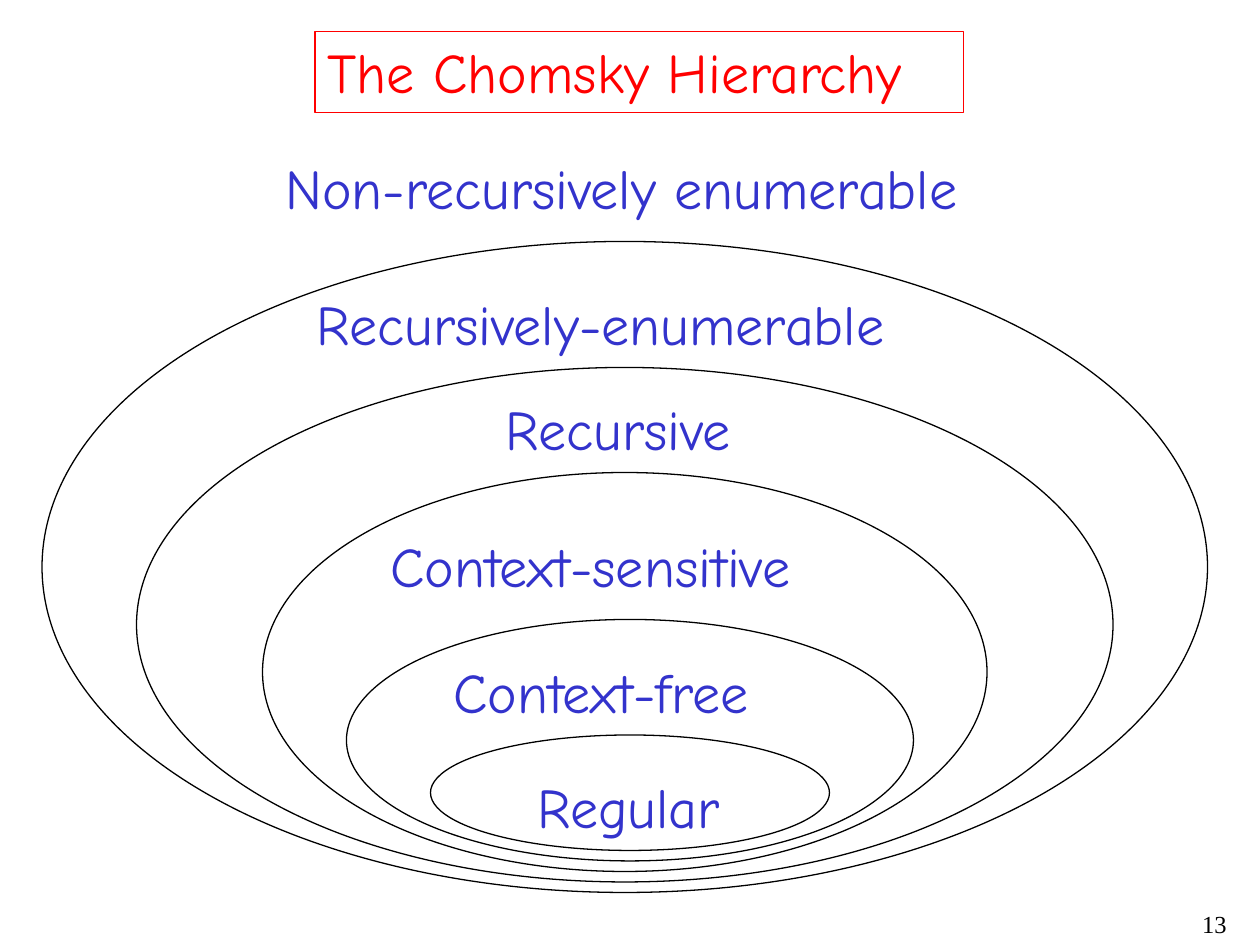
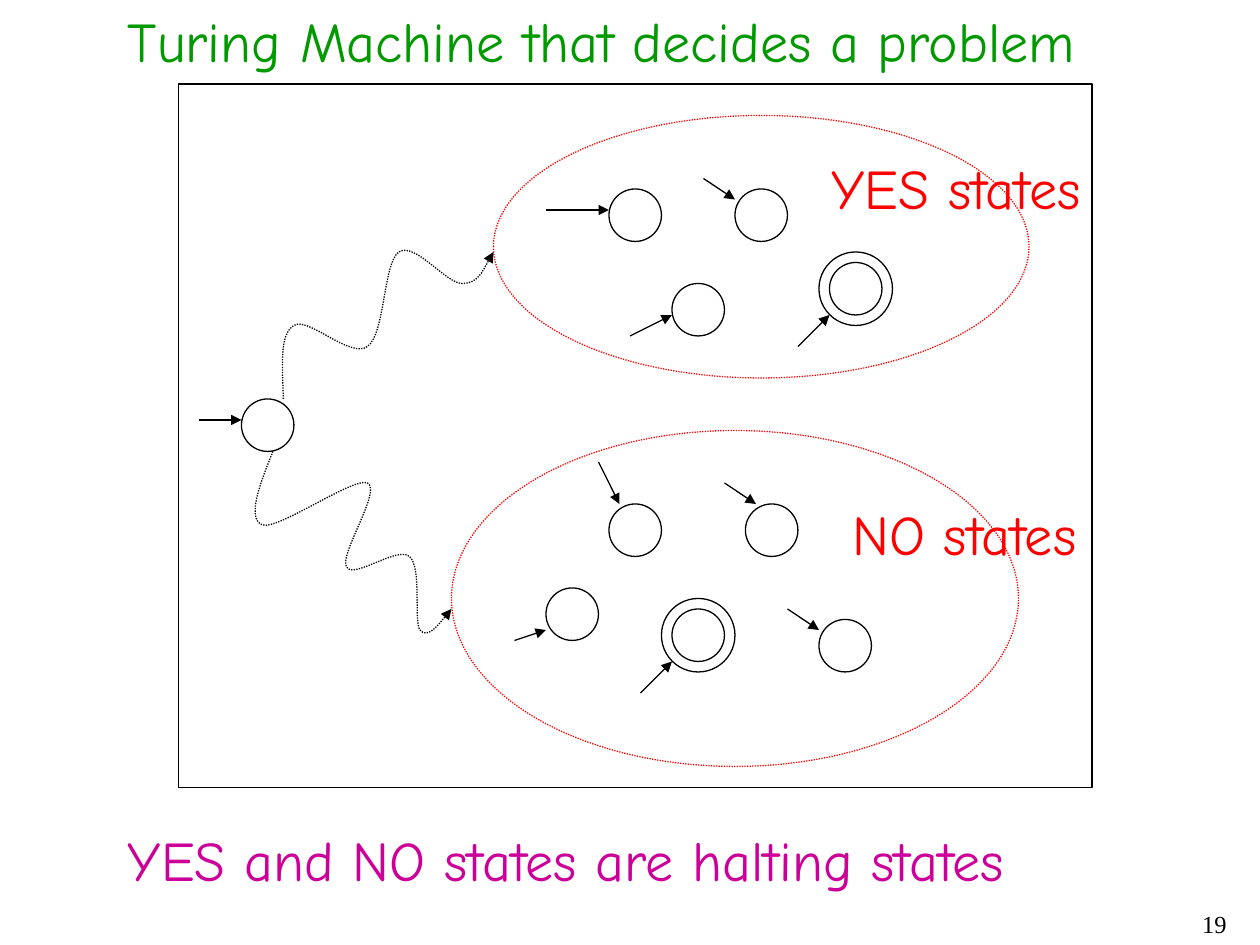
"""Build two slides on the Chomsky hierarchy and on deciding Turing machines."""
import lxml.etree
import pptx
import pptx.dml.color
import pptx.enum.dml
import pptx.enum.shapes
import pptx.enum.text
import pptx.oxml.ns
import pptx.util

COLUMNS, ROWS = 120, 90
CELL = pptx.util.Inches(10) // COLUMNS
BLACK = pptx.dml.color.RGBColor(0x00, 0x00, 0x00)
RED = pptx.dml.color.RGBColor(0xFF, 0x00, 0x00)
BLUE = pptx.dml.color.RGBColor(0x33, 0x33, 0xCC)
GREEN = pptx.dml.color.RGBColor(0x00, 0x99, 0x00)
MAGENTA = pptx.dml.color.RGBColor(0xCC, 0x00, 0x99)
OVAL = pptx.enum.shapes.MSO_SHAPE.OVAL
RECTANGLE = pptx.enum.shapes.MSO_SHAPE.RECTANGLE
DOTTED = pptx.enum.dml.MSO_LINE.ROUND_DOT
LABEL_FONT = {"name": "Comic Neue", "size": pptx.util.Pt(32)}
NUMBER_FONT = {"name": "Times New Roman", "size": pptx.util.Pt(14)}
LABEL_FRAME = {
    "word_wrap": False,
    "auto_size": pptx.enum.text.MSO_AUTO_SIZE.SHAPE_TO_FIT_TEXT,
    "vertical_anchor": pptx.enum.text.MSO_ANCHOR.TOP,
}
NUMBER_FRAME = {"word_wrap": True}
LEFT = pptx.enum.text.PP_ALIGN.LEFT
RIGHT = pptx.enum.text.PP_ALIGN.RIGHT
LABEL_ROWS = 7.6
STATE_SIZE = 5

LANGUAGE_LABELS = [
    ("Non-recursively enumerable", 26, 14, 71.9),
    ("Recursively-enumerable", 29, 27, 61.2),
    ("Recursive", 47, 37, 26.4),
    ("Context-sensitive", 36, 50, 46.6),
    ("Context-free", 42, 62, 35.6),
    ("Regular", 50, 73, 21),
]
LANGUAGE_RINGS = [(4, 23, 111), (13, 35, 93), (25, 45, 69), (33, 59, 54), (41, 70, 38)]
OUTER_RING_BOTTOM = 85

START_STATE = (23, 38, (19, 40), (23, 40))
YES_STATES = [
    (58, 18, (52, 20), (58, 20)),
    (70, 18, (67, 17), (70, 19)),
    (64, 27, (60, 32), (64, 30)),
    (79, 25, (76, 33), (79, 30)),
]
NO_STATES = [
    (58, 48, (57, 44), (59, 48)),
    (71, 48, (69, 46), (72, 48)),
    (52, 56, (49, 61), (52, 60)),
    (78, 59, (75, 58), (78, 60)),
    (64, 58, (61, 66), (64, 63)),
]
WAVE_TO_YES = [
    (27, 38), (26.9, 34.9), (26.6, 31.8), (28, 31),
    (29.3, 30.1), (33.4, 34.2), (35, 33), (36.7, 31.8), (36.5, 25), (38, 24),
    (39.5, 23), (42.5, 27), (44, 27), (45.5, 27), (46.2, 25.4), (47, 24),
]
WAVE_TO_NO = [
    (26, 43), (24.7, 46.2), (23.5, 49.4), (25, 50),
    (26.5, 50.5), (33.7, 45.4), (35, 46), (36.4, 46.7), (32.3, 52.8), (33, 54),
    (33.7, 55.2), (37.8, 52), (39, 53), (40.2, 54), (39.4, 59.2), (40, 60),
    (40.7, 60.8), (41.9, 59.4), (43, 58),
]


def grid(*cells):
    """Turn counts of grid cells into slide lengths."""
    return [round(cell * CELL) for cell in cells]


def apply_format(target, values):
    """Set every attribute named in a dict of format values."""
    for name, value in values.items():
        setattr(target, name, value)


def write(box, text, color, font=LABEL_FONT, frame=LABEL_FRAME, alignment=LEFT):
    """Put one formatted line of text in a box."""
    apply_format(box.text_frame, frame)
    para = box.text_frame.paragraphs[0]
    para.alignment = alignment
    span = para.add_run()
    span.text = text
    apply_format(span.font, font)
    span.font.color.rgb = color


def add_label(page, text, column, row, width, color):
    """Add a large label without a border."""
    box = page.shapes.add_textbox(*grid(column, row, width, LABEL_ROWS))
    write(box, text, color)


def add_page(deck, number):
    """Add a blank page with its number in the lower right corner."""
    page = deck.slides.add_slide(deck.slide_layouts[6])
    box = page.shapes.add_textbox(*grid(93, 86, 25, 4))
    write(box, str(number), BLACK, NUMBER_FONT, NUMBER_FRAME, RIGHT)
    return page


def draw_line(line, color=BLACK, dash=None):
    """Give a line its colour, width and dash."""
    line.color.rgb = color
    apply_format(line, {"width": pptx.util.Pt(0.75), "dash_style": dash})


def style_outline(shape, color=BLACK, dash=None):
    """Leave a shape as a bare outline."""
    shape.shadow.inherit = False
    shape.fill.background()
    draw_line(shape.line, color, dash)


def add_outline(page, kind, cells, color=BLACK, dash=None):
    """Add an unfilled preset shape."""
    shape = page.shapes.add_shape(kind, *grid(*cells))
    style_outline(shape, color, dash)
    return shape


def add_arrowhead(properties):
    """End a line with a triangle."""
    line = properties.find(pptx.oxml.ns.qn("a:ln"))
    lxml.etree.SubElement(line, pptx.oxml.ns.qn("a:tailEnd"), type="triangle")


def add_arrow(page, start, tip):
    """Add a straight arrow between two grid points."""
    kind = pptx.enum.shapes.MSO_CONNECTOR.STRAIGHT
    arrow = page.shapes.add_connector(kind, *grid(*start, *tip))
    draw_line(arrow.line)
    properties = arrow._element.spPr
    add_arrowhead(properties)
    lxml.etree.SubElement(properties, pptx.oxml.ns.qn("a:effectLst"))


def add_wave(page, points):
    """Add a dotted curved arrow through Bezier points."""
    start, *others = [grid(*point) for point in points]
    builder = page.shapes.build_freeform(*start)
    builder.add_line_segments(others, close=False)
    wave = builder.convert_to_shape()
    style_outline(wave, dash=DOTTED)
    properties = wave._element.spPr
    add_arrowhead(properties)
    outline = properties.find(".//" + pptx.oxml.ns.qn("a:path"))
    segments = outline.findall(pptx.oxml.ns.qn("a:lnTo"))
    for first in range(0, len(segments), 3):
        curve = lxml.etree.SubElement(outline, pptx.oxml.ns.qn("a:cubicBezTo"))
        for segment in segments[first:first + 3]:
            curve.append(segment[0])
            outline.remove(segment)


def add_state(page, column, row, start, tip, halting_ring=False):
    """Add a state circle with its incoming arrow and an optional second ring."""
    add_outline(page, OVAL, (column, row, STATE_SIZE, STATE_SIZE))
    if halting_ring:
        ring_size = STATE_SIZE + 2
        add_outline(page, OVAL, (column - 1, row - 1, ring_size, ring_size))
    add_arrow(page, start, tip)


def build_hierarchy(deck):
    """Draw the nested language classes."""
    page = add_page(deck, 13)
    title = add_outline(page, RECTANGLE, (30, 3, 61.8, 7.7), RED)
    write(title, "The Chomsky Hierarchy", RED)
    for depth, (column, row, width) in enumerate(LANGUAGE_RINGS):
        height = OUTER_RING_BOTTOM - depth - row
        add_outline(page, OVAL, (column, row, width, height))
    for label in LANGUAGE_LABELS:
        add_label(page, *label, BLUE)


def build_decider(deck):
    """Draw the machine with its YES and NO states."""
    page = add_page(deck, 19)
    add_label(page, "Turing Machine that decides a problem", 11, 0, 99.5, GREEN)
    add_outline(page, RECTANGLE, (17, 8, 87, 67))
    add_state(page, *START_STATE)
    for states in (YES_STATES, NO_STATES):
        for state in states:
            add_state(page, *state, halting_ring=state is states[-1])
    for region in ((47, 11, 51, 25), (43, 41, 54, 32)):
        add_outline(page, OVAL, region, RED, DOTTED)
    for wave in (WAVE_TO_YES, WAVE_TO_NO):
        add_wave(page, wave)
    add_label(page, "YES states", 78, 14, 30.4, RED)
    add_label(page, "NO states", 80, 47, 28.4, RED)
    add_label(page, "YES and NO states are halting states", 11, 78, 96.6, MAGENTA)


def main():
    """Build and save the deck."""
    deck = pptx.Presentation()
    deck.slide_width, deck.slide_height = grid(COLUMNS, ROWS)
    build_hierarchy(deck)
    build_decider(deck)
    deck.save("out.pptx")


if __name__ == "__main__":
    main()
